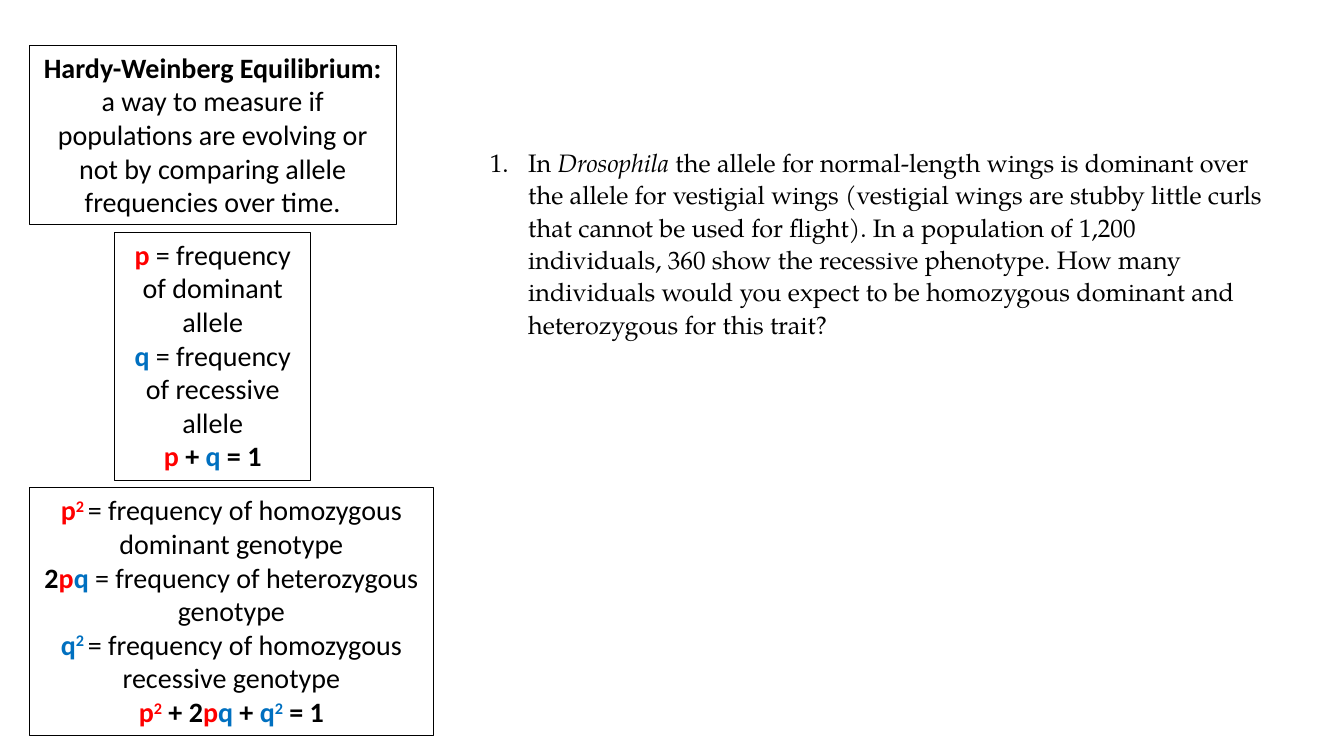
"""Build a slide on Hardy-Weinberg equilibrium with a practice question."""
from lxml import etree
from pptx import Presentation
from pptx.dml.color import RGBColor
from pptx.enum.text import MSO_ANCHOR, MSO_AUTO_SIZE, PP_ALIGN
from pptx.oxml.ns import qn
from pptx.util import Inches, Pt

CENTER, LEFT = PP_ALIGN.CENTER, PP_ALIGN.LEFT
TOP, GROW = MSO_ANCHOR.TOP, MSO_AUTO_SIZE.SHAPE_TO_FIT_TEXT
WIDE, HIGH = 13.33, 7.5
HEX = {"ink": "000000", "paper": "FFFFFF", "red": "FF0000", "blue": "0070C0"}

STYLES = {
    "text": ("ink", ""),
    "bold": ("ink", "b"),
    "ital": ("ink", "i"),
    "p": ("red", "b"),
    "q": ("blue", "b"),
    "p up": ("red", "bs"),
    "q up": ("blue", "bs"),
}
INTRO = [
    [("bold", "Hardy-Weinberg Equilibrium:"),
     ("text", " a way to measure if populations are evolving or not by "
              "comparing allele frequencies over time.")],
]
ALLELES = [
    [("p", "p "), ("text", "= frequency of dominant allele")],
    [("q", "q "), ("text", "= frequency of recessive allele")],
    [("p", "p"), ("bold", " + "), ("q", "q"), ("bold", " = 1")],
]
GENES = [
    [("p", "p"), ("p up", "2 "),
     ("text", "= frequency of homozygous dominant genotype")],
    [("bold", "2"), ("p", "p"), ("q", "q "),
     ("text", "= frequency of heterozygous genotype")],
    [("q", "q"), ("q up", "2 "),
     ("text", "= frequency of homozygous recessive genotype")],
    [("p", "p"), ("p up", "2"), ("bold", " + 2"), ("p", "p"), ("q", "q"),
     ("bold", " + "), ("q", "q"), ("q up", "2"), ("bold", " = 1")],
]
TASK = [
    [("text", "In "), ("ital", "Drosophila "),
     ("text", "the allele for normal-length wings is dominant over the allele "
              "for vestigial wings (vestigial wings are stubby little curls "
              "that cannot be used for flight). In a population of 1,200 "
              "individuals, 360 show the recessive phenotype. How many "
              "individuals would you expect to be homozygous dominant and "
              "heterozygous for this trait?")],
]
EDGE, START, GAP = 0.29, 0.45, 0.075
CARDS = [
    (INTRO, EDGE, 3.64, 1.78),
    (ALLELES, 1.14, 1.94, 2.46),
    (GENES, EDGE, 4.01, 2.46),
]


def add_text(slide, paras, place, face, size, align):
    box = slide.shapes.add_textbox(*(Inches(n) for n in place))
    frame = box.text_frame
    frame.word_wrap = True
    frame.auto_size = GROW
    frame.vertical_anchor = TOP
    for i, runs in enumerate(paras):
        para = frame.paragraphs[0] if i == 0 else frame.add_paragraph()
        para.alignment = align
        for style, words in runs:
            tint, marks = STYLES[style]
            run = para.add_run()
            run.text = words
            font = run.font
            font.name, font.size = face, Pt(size)
            font.bold, font.italic = "b" in marks, "i" in marks
            font.color.rgb = RGBColor.from_string(HEX[tint])
            if "s" in marks:
                run._r.get_or_add_rPr().set("baseline", "30000")
    return box


def frame_card(box):
    box.fill.solid()
    box.fill.fore_color.rgb = RGBColor.from_string(HEX["paper"])
    box.line.color.rgb = RGBColor.from_string(HEX["ink"])
    box.line.width = Pt(0.75)


def number(para, indent):
    para.line_spacing = 1.07
    props = para._p.get_or_add_pPr()
    props.set("marL", str(Inches(indent)))
    props.set("indent", str(-Inches(indent)))
    face = etree.SubElement(props, qn("a:buFont"))
    face.set("typeface", "+mj-lt")
    mark = etree.SubElement(props, qn("a:buAutoNum"))
    mark.set("type", "arabicPeriod")


def main():
    deck = Presentation()
    deck.slide_width, deck.slide_height = Inches(WIDE), Inches(HIGH)
    slide = deck.slides.add_slide(deck.slide_layouts[6])
    top = START
    for paras, left, width, height in CARDS:
        place = (left, top, width, height)
        frame_card(add_text(slide, paras, place, "Calibri", 20, CENTER))
        top += height + GAP
    place = (4.76, 1.39, 7.98, 2.03)
    task = add_text(slide, TASK, place, "TeX Gyre Pagella", 18, LEFT)
    number(task.text_frame.paragraphs[0], 0.38)
    deck.save("out.pptx")


if __name__ == "__main__":
    main()
